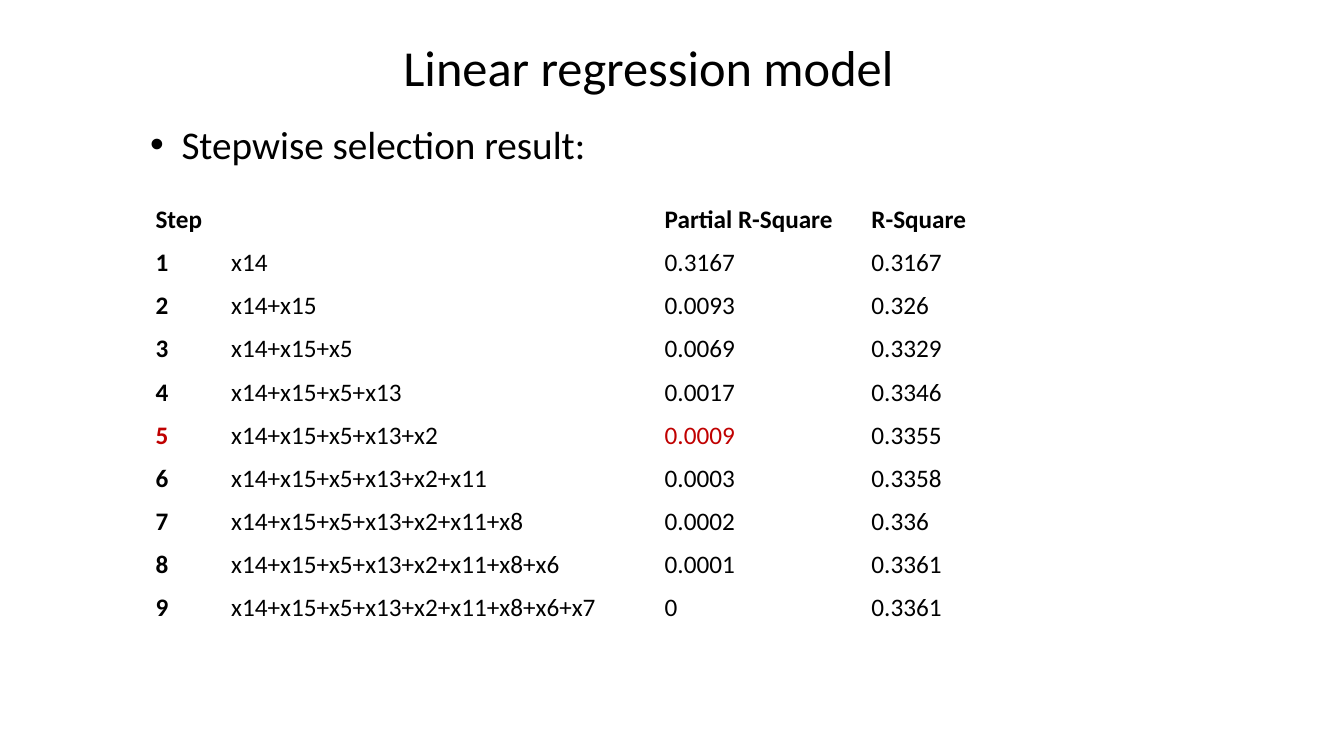
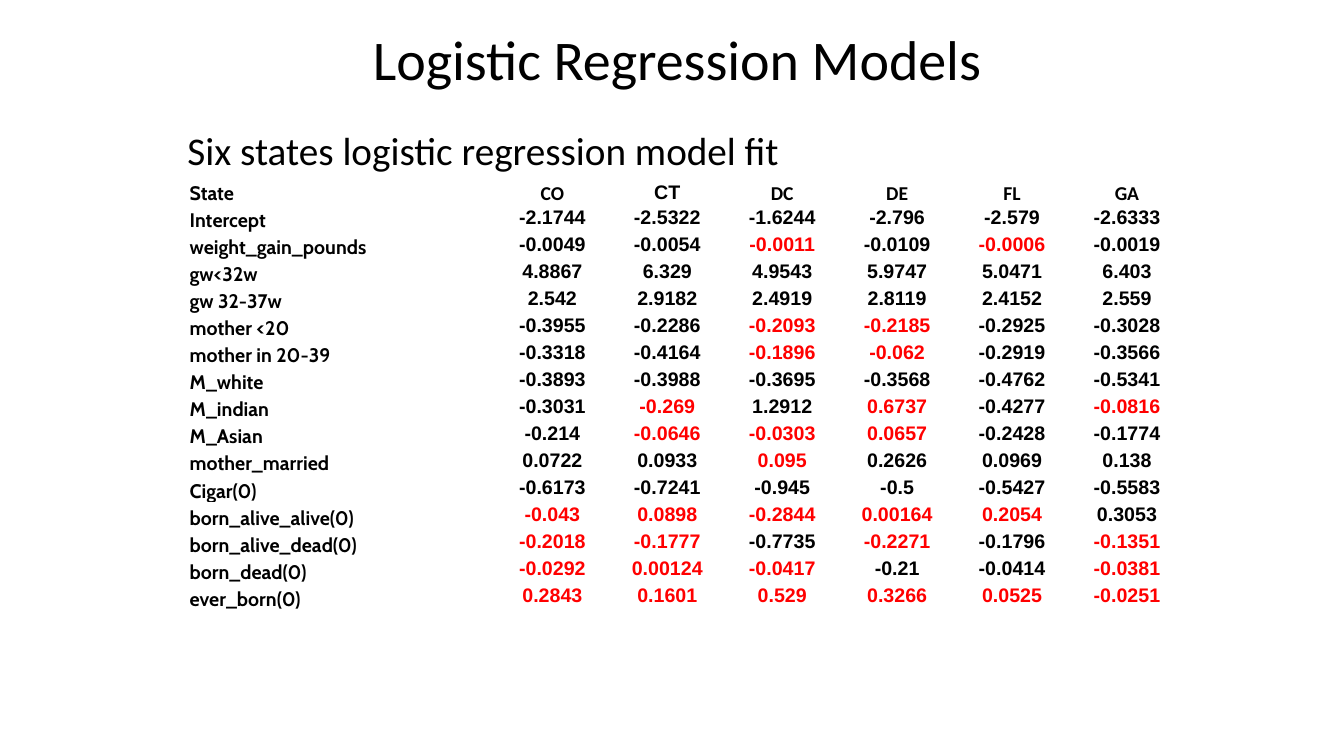
"""Build two slides of regression results."""
from dataclasses import dataclass

from lxml import etree
from pptx import Presentation
from pptx import util as u
from pptx.dml.color import RGBColor
from pptx.enum import text
from pptx.oxml import ns


@dataclass(frozen=True)
class Theme:
    """Colours, fonts and type sizes of the presentation."""
    ink: RGBColor = RGBColor(0x00, 0x00, 0x00)
    accent: RGBColor = RGBColor(0xC0, 0x00, 0x00)
    alert: RGBColor = RGBColor(0xFF, 0x00, 0x00)
    main_font: str = "Calibri"
    label_font: str = "Cabin"
    value_font: str = "Arial"
    small_title: int = 36
    title: int = 40
    body: int = 28
    table: int = 18
    dense_table: int = 14


@dataclass(frozen=True)
class Box:
    """A region of the slide, in centimetres."""
    left: float
    top: float
    width: float
    height: float

    def lengths(self):
        """Return left, top, width and height as lengths."""
        return [u.Cm(value) for value in (self.left, self.top, self.width, self.height)]


@dataclass(frozen=True)
class CellStyle:
    """How the text of one table cell looks."""
    size: int
    font: str
    color: RGBColor
    bold: bool = True
    align: text.PP_ALIGN = text.PP_ALIGN.LEFT
    anchor: text.MSO_ANCHOR = text.MSO_ANCHOR.BOTTOM


THEME = Theme()
BULLET_INDENT = u.Cm(0.79)
CELL_MARGIN = u.Cm(0.03)

STEPS = ["x14", "x15", "x5", "x13", "x2", "x11", "x8", "x6", "x7"]
PARTIAL = ["0.3167", "0.0093", "0.0069", "0.0017", "0.0009", "0.0003", "0.0002", "0.0001", "0"]
TOTAL = ["0.3167", "0.326", "0.3329", "0.3346", "0.3355", "0.3358", "0.336", "0.3361", "0.3361"]
CHOSEN_STEP = 5

STATES = ["State", "CO", "CT", "DC", "DE", "FL", "GA"]
COEFFICIENTS = {
    "Intercept": "-2.1744 -2.5322 -1.6244 -2.796 -2.579 -2.6333",
    "weight_gain_pounds": "-0.0049 -0.0054 -0.0011* -0.0109 -0.0006* -0.0019",
    "gw<32w": "4.8867 6.329 4.9543 5.9747 5.0471 6.403",
    "gw 32-37w": "2.542 2.9182 2.4919 2.8119 2.4152 2.559",
    "mother <20": "-0.3955 -0.2286 -0.2093* -0.2185* -0.2925 -0.3028",
    "mother in 20-39": "-0.3318 -0.4164 -0.1896* -0.062* -0.2919 -0.3566",
    "M_white": "-0.3893 -0.3988 -0.3695 -0.3568 -0.4762 -0.5341",
    "M_indian": "-0.3031 -0.269* 1.2912 0.6737* -0.4277 -0.0816*",
    "M_Asian": "-0.214 -0.0646* -0.0303* 0.0657* -0.2428 -0.1774",
    "mother_married": "0.0722 0.0933 0.095* 0.2626 0.0969 0.138",
    "Cigar(0)": "-0.6173 -0.7241 -0.945 -0.5 -0.5427 -0.5583",
    "born_alive_alive(0)": "-0.043* 0.0898* -0.2844* 0.00164* 0.2054* 0.3053",
    "born_alive_dead(0)": "-0.2018* -0.1777* -0.7735 -0.2271* -0.1796 -0.1351*",
    "born_dead(0)": "-0.0292* 0.00124* -0.0417* -0.21 -0.0414 -0.0381*",
    "ever_born(0)": "0.2843* 0.1601* 0.529* 0.3266* 0.0525* -0.0251*",
}


def place_text(shape, box, words, size, anchor):
    """Move a placeholder into the box, write one left-aligned paragraph and return it."""
    shape.left, shape.top, shape.width, shape.height = box.lengths()
    frame = shape.text_frame
    frame.word_wrap = True
    frame.auto_size = text.MSO_AUTO_SIZE.NONE
    frame.vertical_anchor = anchor
    frame.text = words
    paragraph = frame.paragraphs[0]
    paragraph.alignment = text.PP_ALIGN.LEFT
    paragraph.space_before = u.Pt(0)
    paragraph.font.size = u.Pt(size)
    paragraph.font.name = THEME.main_font
    paragraph.font.color.rgb = THEME.ink
    return paragraph


def place_title(slide, box, words, size):
    """Fill the title placeholder."""
    paragraph = place_text(slide.shapes.title, box, words, size, text.MSO_ANCHOR.MIDDLE)
    paragraph.line_spacing = 0.9


def place_lead(slide, box, words, bulleted):
    """Fill the body placeholder with the line above the table."""
    paragraph = place_text(slide.placeholders[1], box, words, THEME.body, text.MSO_ANCHOR.TOP)
    indent = BULLET_INDENT if bulleted else 0
    properties = paragraph._p.get_or_add_pPr()
    properties.set("marL", str(indent))
    properties.set("indent", str(-indent))
    bullet = etree.Element(ns.qn("a:buChar" if bulleted else "a:buNone"))
    if bulleted:
        bullet.set("char", "•")
    properties.find(ns.qn("a:defRPr")).addprevious(bullet)


def fill_cell(cell, words, style):
    """Write and format one table cell."""
    cell.fill.background()
    cell.margin_left = cell.margin_right = cell.margin_top = CELL_MARGIN
    cell.margin_bottom = 0
    cell.vertical_anchor = style.anchor
    cell.text = words
    paragraph = cell.text_frame.paragraphs[0]
    paragraph.alignment = style.align
    font = paragraph.font
    font.size = u.Pt(style.size)
    font.name = style.font
    font.bold = style.bold
    font.color.rgb = style.color


def place_table(slide, box, column_shares, rows, style_of):
    """Add a plain table whose columns share the width of the box."""
    frame = slide.shapes.add_table(len(rows), len(column_shares), *box.lengths())
    table = frame.table
    table.first_row = table.horz_banding = False
    for column, share in zip(table.columns, column_shares):
        column.width = u.Cm(box.width * share / sum(column_shares))
    for row_index, row in enumerate(rows):
        table.rows[row_index].height = u.Cm(box.height / len(rows))
        for column_index, words in enumerate(row):
            style = style_of(row_index, column_index, words)
            fill_cell(table.cell(row_index, column_index), words.rstrip("*"), style)


def stepwise_style(row, column, words):
    """Embolden headings and step numbers, and mark the chosen step."""
    marked = row == CHOSEN_STEP and column in (0, 2)
    color = THEME.accent if marked else THEME.ink
    return CellStyle(THEME.table, THEME.main_font, color, bold=row == 0 or column == 0)


def coefficient_style(row, column, words):
    """Style labels, state names and values; a trailing star means an alert colour."""
    size, center = THEME.dense_table, text.PP_ALIGN.CENTER
    if column == 0:
        return CellStyle(size, THEME.label_font, THEME.ink)
    if words == "CT":
        return CellStyle(size, THEME.value_font, THEME.ink, align=center,
                         anchor=text.MSO_ANCHOR.MIDDLE)
    if row == 0:
        return CellStyle(size, THEME.main_font, THEME.ink, align=center)
    color = THEME.alert if words.endswith("*") else THEME.ink
    return CellStyle(size, THEME.value_font, color, align=center, anchor=text.MSO_ANCHOR.TOP)


def add_content_slide(presentation):
    """Add a slide with a title and a body placeholder."""
    return presentation.slides.add_slide(presentation.slide_layouts[1])


def add_linear_slide(presentation):
    """Add the slide on stepwise selection."""
    slide = add_content_slide(presentation)
    place_title(slide, Box(9.91, 0.86, 13.4, 1.8), "Linear regression model", THEME.small_title)
    place_lead(slide, Box(3.53, 2.9, 11.68, 1.45), "Stepwise selection result:", True)
    rows = [["Step", "", "Partial R-Square", "R-Square"]]
    for step, (partial, total) in enumerate(zip(PARTIAL, TOTAL), 1):
        rows.append([str(step), "+".join(STEPS[:step]), partial, total])
    place_table(slide, Box(3.89, 4.85, 21.22, 10.85), [0.75, 4.3, 2.05, 1.25],
                rows, stepwise_style)


def add_logistic_slide(presentation):
    """Add the slide on the models of six states."""
    slide = add_content_slide(presentation)
    place_title(slide, Box(9.14, 0.1, 17.27, 2.95), "Logistic Regression Models", THEME.title)
    place_lead(slide, Box(4.47, 3.05, 16, 1.45), "Six states logistic regression model fit", False)
    rows = [STATES] + [[label, *values.split()] for label, values in COEFFICIENTS.items()]
    place_table(slide, Box(4.75, 4.5, 25.1, 10.9), [3.04] + [1.14] * 6,
                rows, coefficient_style)


def main():
    """Build and save the presentation."""
    presentation = Presentation()
    presentation.slide_width = u.Cm(33.87)
    presentation.slide_height = u.Cm(19.05)
    add_linear_slide(presentation)
    add_logistic_slide(presentation)
    presentation.save("out.pptx")


if __name__ == "__main__":
    main()
